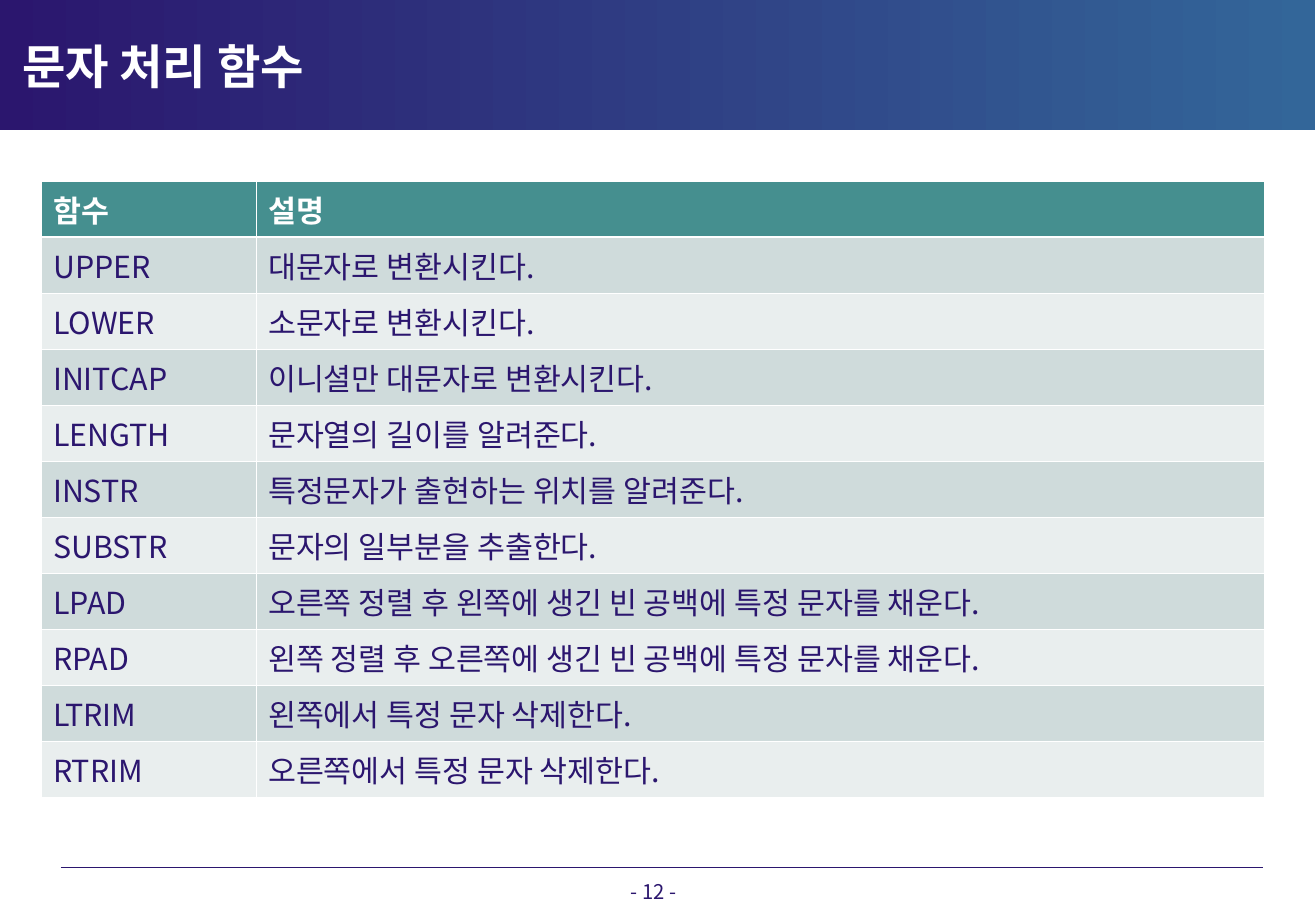
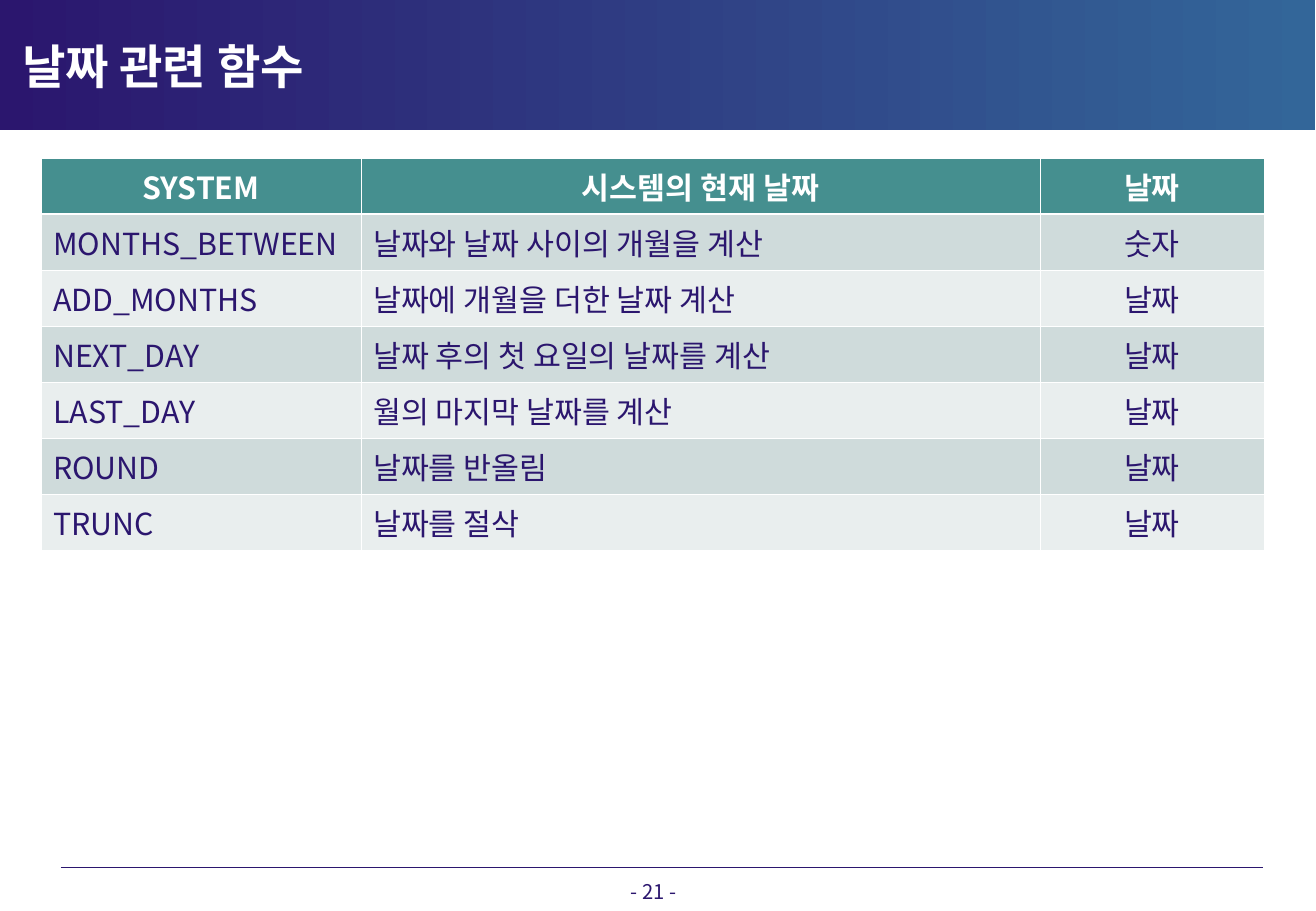
from dataclasses import dataclass

from lxml import etree
from pptx import Presentation
from pptx.dml.color import RGBColor
from pptx.enum.shapes import MSO_CONNECTOR, MSO_SHAPE
from pptx.enum.text import MSO_ANCHOR, MSO_AUTO_SIZE, PP_ALIGN
from pptx.oxml.ns import qn
from pptx.util import Inches, Pt

LEFT, CENTER = PP_ALIGN.LEFT, PP_ALIGN.CENTER
MIDDLE = MSO_ANCHOR.MIDDLE
NO_AUTOFIT = MSO_AUTO_SIZE.NONE
RECTANGLE = MSO_SHAPE.RECTANGLE
STRAIGHT = MSO_CONNECTOR.STRAIGHT


@dataclass(frozen=True)
class Theme:
    font: str = "Noto Sans CJK KR"
    ink: str = "2B166E"
    band_end: str = "336699"
    white: str = "FFFFFF"
    header: str = "458F8F"
    stripes: tuple = ("CFDBDB", "E9EEEE")
    title_size: int = 28
    table_size: int = 18
    page_size: int = 12
    rule_width: float = 0.74
    grid_width: float = 0.45
    header_rule_width: float = 1.47


THEME = Theme()
EMU_PER_PIXEL = 7532
BAND_WIDTH, BAND_HEIGHT = 1315, 130
TABLE_LEFT, ROW_HEIGHT = 41, 56

PAGES = [
    {
        "title": "문자 처리 함수",
        "number": 12,
        "top": 181,
        "columns": [215, 1008],
        "header_align": LEFT,
        "rows": [
            ("함수", "설명"),
            ("UPPER", "대문자로 변환시킨다."),
            ("LOWER", "소문자로 변환시킨다."),
            ("INITCAP", "이니셜만 대문자로 변환시킨다."),
            ("LENGTH", "문자열의 길이를 알려준다."),
            ("INSTR", "특정문자가 출현하는 위치를 알려준다."),
            ("SUBSTR", "문자의 일부분을 추출한다."),
            ("LPAD", "오른쪽 정렬 후 왼쪽에 생긴 빈 공백에 특정 문자를 채운다."),
            ("RPAD", "왼쪽 정렬 후 오른쪽에 생긴 빈 공백에 특정 문자를 채운다."),
            ("LTRIM", "왼쪽에서 특정 문자 삭제한다."),
            ("RTRIM", "오른쪽에서 특정 문자 삭제한다."),
        ],
    },
    {
        "title": "날짜 관련 함수",
        "number": 21,
        "top": 158,
        "columns": [320, 679, 224],
        "header_align": CENTER,
        "rows": [
            ("SYSTEM", "시스템의 현재 날짜", "날짜"),
            ("MONTHS_BETWEEN", "날짜와 날짜 사이의 개월을 계산", "숫자"),
            ("ADD_MONTHS", "날짜에 개월을 더한 날짜 계산", "날짜"),
            ("NEXT_DAY", "날짜 후의 첫 요일의 날짜를 계산", "날짜"),
            ("LAST_DAY", "월의 마지막 날짜를 계산", "날짜"),
            ("ROUND", "날짜를 반올림", "날짜"),
            ("TRUNC", "날짜를 절삭", "날짜"),
        ],
    },
]


def px(*lengths):
    return [length * EMU_PER_PIXEL for length in lengths]


def write(frame, text, size=THEME.table_size, color=THEME.ink, bold=False, align=LEFT):
    paragraph = frame.paragraphs[0]
    paragraph.alignment = align
    run = paragraph.add_run()
    run.text = text
    run.font.size = Pt(size)
    run.font.bold = bold
    run.font.color.rgb = RGBColor.from_string(color)
    run.font.name = THEME.font
    etree.SubElement(run._r.get_or_add_rPr(), qn("a:ea"), typeface=THEME.font)


deck = Presentation()
deck.slide_width, deck.slide_height = Inches(10.84), Inches(7.5)
layout = deck.slide_layouts[5]
layout_title = layout.placeholders[0]
layout_title.left, layout_title.top, layout_title.width, layout_title.height = px(10, 28, 987, 75)
slides = [deck.slides.add_slide(layout) for page in PAGES]

band = slides[0].shapes.add_shape(RECTANGLE, *px(0, 0, BAND_WIDTH, BAND_HEIGHT))
band.shadow.inherit = False
band.line.fill.background()
band.fill.gradient()
band.fill.gradient_angle = 0
for stop, color in zip(band.fill.gradient_stops, (THEME.ink, THEME.band_end)):
    stop.color.rgb = RGBColor.from_string(color)

footer_rule = slides[0].shapes.add_connector(STRAIGHT, *px(61, 867, 1263, 867))
footer_rule.line.color.rgb = RGBColor.from_string(THEME.ink)
footer_rule.line.width = Pt(THEME.rule_width)
etree.SubElement(footer_rule.element.spPr, qn("a:effectLst"))

for shared in (band, footer_rule):
    layout.shapes.element.insert(2, shared.element)

for slide, page in zip(slides, PAGES):
    title = slide.shapes.title.text_frame
    title.auto_size = NO_AUTOFIT
    title.vertical_anchor = MIDDLE
    write(title, page["title"], size=THEME.title_size, color=THEME.white, bold=True)

    page_number = slide.shapes.add_textbox(*px(524, 873, 259, 27)).text_frame
    page_number.word_wrap = True
    write(page_number, f"- {page['number']} -", size=THEME.page_size, align=CENTER)

    rows, columns = page["rows"], page["columns"]
    functions = slide.shapes.add_table(
        len(rows), len(columns),
        *px(TABLE_LEFT, page["top"], sum(columns), ROW_HEIGHT * len(rows)),
    ).table
    functions.horz_banding = False
    for column, width in zip(functions.columns, px(*columns)):
        column.width = width

    for row, entries in enumerate(rows):
        is_header = row == 0
        fill = THEME.header if is_header else THEME.stripes[(row - 1) % 2]
        top_width = THEME.header_rule_width if row == 1 else THEME.grid_width
        bottom_width = THEME.header_rule_width if is_header else THEME.grid_width
        borders = {"lnL": THEME.grid_width, "lnR": THEME.grid_width,
                   "lnT": top_width, "lnB": bottom_width}
        for column, entry in enumerate(entries):
            cell = functions.cell(row, column)
            cell.vertical_anchor = MIDDLE
            properties = cell._tc.get_or_add_tcPr()
            for side, width in borders.items():
                border = etree.SubElement(properties, qn(f"a:{side}"), w=str(Pt(width)))
                border_fill = etree.SubElement(border, qn("a:solidFill"))
                etree.SubElement(border_fill, qn("a:srgbClr"), val=THEME.white)
            cell.fill.solid()
            cell.fill.fore_color.rgb = RGBColor.from_string(fill)
            body_align = CENTER if column == 2 else LEFT
            write(cell.text_frame, entry,
                  color=THEME.white if is_header else THEME.ink,
                  bold=is_header,
                  align=page["header_align"] if is_header else body_align)

deck.save("out.pptx")
